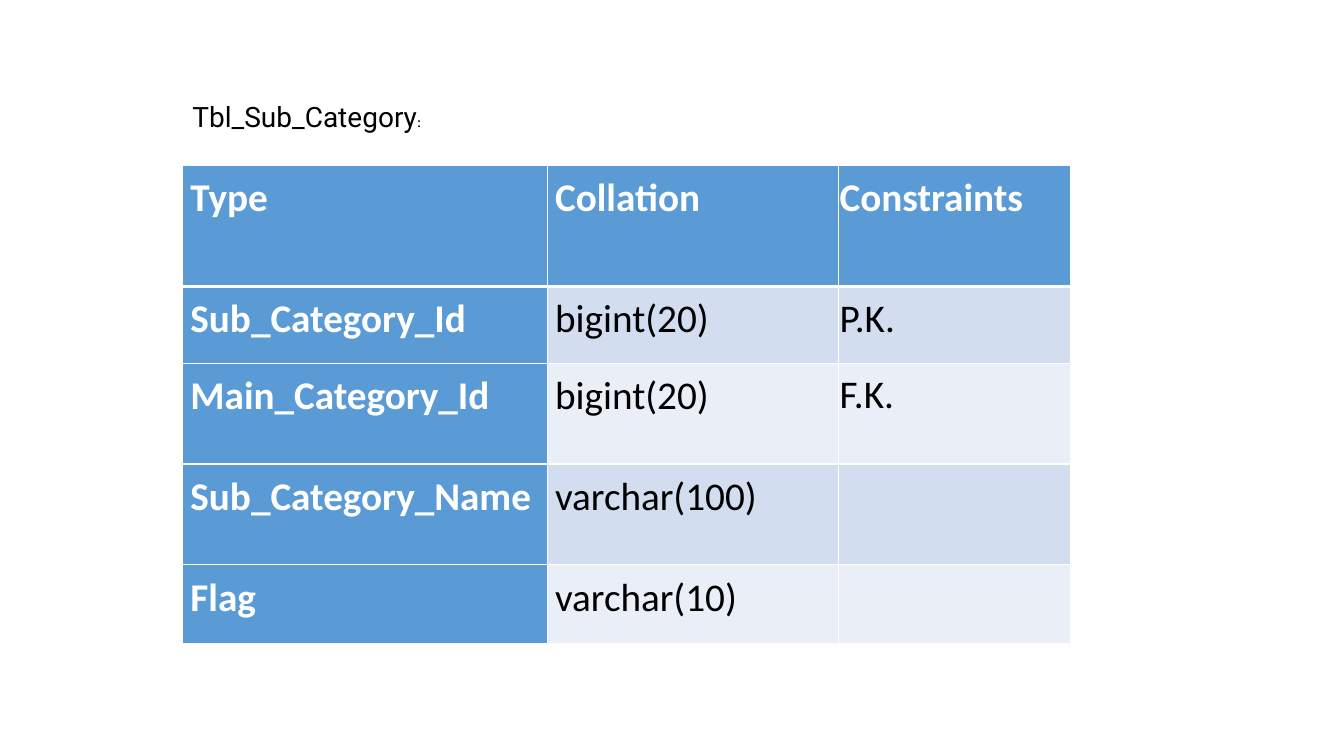
from dataclasses import dataclass
from lxml.etree import SubElement
from pptx import Presentation
from pptx.dml.color import RGBColor as Rgb
from pptx.enum.text import MSO_ANCHOR as Anchor, MSO_AUTO_SIZE as Auto
from pptx.oxml.ns import qn
from pptx.util import Cm, Pt

COLORS = {"head": "5B9BD5", "odd": "D2DEEF", "even": "EAEFF7",
          "line": "FFFFFF", "light": "FFFFFF", "dark": "000000"}


@dataclass
class Row:
    height: float
    texts: tuple[str, str, str]


@dataclass
class Col:
    width: float
    side: float
    top: float


COLS = [Col(9.19, 0.2, 0.05), Col(7.34, 0.2, 0.05), Col(5.84, 0.03, 0.03)]
ROWS = [
    Row(3.05, ("Type", "Collation", "Constraints")),
    Row(1.93, ("Sub_Category_Id", "bigint(20)", "P.K.")),
    Row(2.54, ("Main_Category_Id", "bigint(20)", "F.K.")),
    Row(2.54, ("Sub_Category_Name", "varchar(100)", "")),
    Row(1.98, ("Flag", "varchar(10)", "")),
]


def color(name: str) -> Rgb:
    return Rgb.from_string(COLORS[name])


def add_lines(cell, top: float, bottom: float) -> None:
    props = cell._tc.get_or_add_tcPr()
    for side, width in (("L", 1), ("R", 1), ("T", top), ("B", bottom)):
        line = SubElement(props, qn(f"a:ln{side}"), w=str(Pt(width)))
        fill = SubElement(line, qn("a:solidFill"))
        SubElement(fill, qn("a:srgbClr"), val=COLORS["line"])


def fill_cell(cell, text: str, col: Col, row: int, bold: bool) -> None:
    # Borders precede the fill in the cell properties
    add_lines(cell, 3 if row == 1 else 1, 3 if row == 0 else 1)
    cell.fill.solid()
    band = "odd" if row % 2 else "even"
    cell.fill.fore_color.rgb = color("head" if bold else band)
    cell.margin_left = cell.margin_right = Cm(col.side)
    cell.margin_top = cell.margin_bottom = Cm(col.top)
    if not text:
        return
    cell.text = text
    para = cell.text_frame.paragraphs[0]
    para.line_spacing = 1.15
    para.space_before = para.space_after = Pt(1.2)
    font = para.font
    font.name, font.size, font.bold = "Calibri", Pt(28), bold
    font.color.rgb = color("light" if bold else "dark")


def add_grid(slide) -> None:
    width = sum(col.width for col in COLS)
    height = sum(row.height for row in ROWS)
    grid = slide.shapes.add_table(len(ROWS), len(COLS), Cm(4.6), Cm(4.17),
                                  Cm(width), Cm(height)).table
    grid.first_col = True
    for c, col in enumerate(COLS):
        grid.columns[c].width = Cm(col.width)
    for r, row in enumerate(ROWS):
        grid.rows[r].height = Cm(row.height)
        for c, (col, text) in enumerate(zip(COLS, row.texts)):
            fill_cell(grid.cell(r, c), text, col, r, r == 0 or c == 0)


def add_title(slide) -> None:
    box = slide.shapes.add_textbox(Cm(4.6), Cm(2.36), Cm(24.38), Cm(1.12))
    frame = box.text_frame
    frame.word_wrap = True
    frame.auto_size = Auto.SHAPE_TO_FIT_TEXT
    frame.vertical_anchor = Anchor.MIDDLE
    para = frame.paragraphs[0]
    para.font.color.rgb = color("dark")
    for text, name, size in (("Tbl_Sub_Category", "Roboto", 20),
                             (":", "Calibri", 11)):
        run = para.add_run()
        run.text = text
        run.font.name, run.font.size = name, Pt(size)


def main() -> None:
    deck = Presentation()
    deck.slide_width, deck.slide_height = Cm(33.87), Cm(19.05)
    slide = deck.slides.add_slide(deck.slide_layouts[6])
    add_grid(slide)
    add_title(slide)
    deck.save("out.pptx")


if __name__ == "__main__":
    main()
